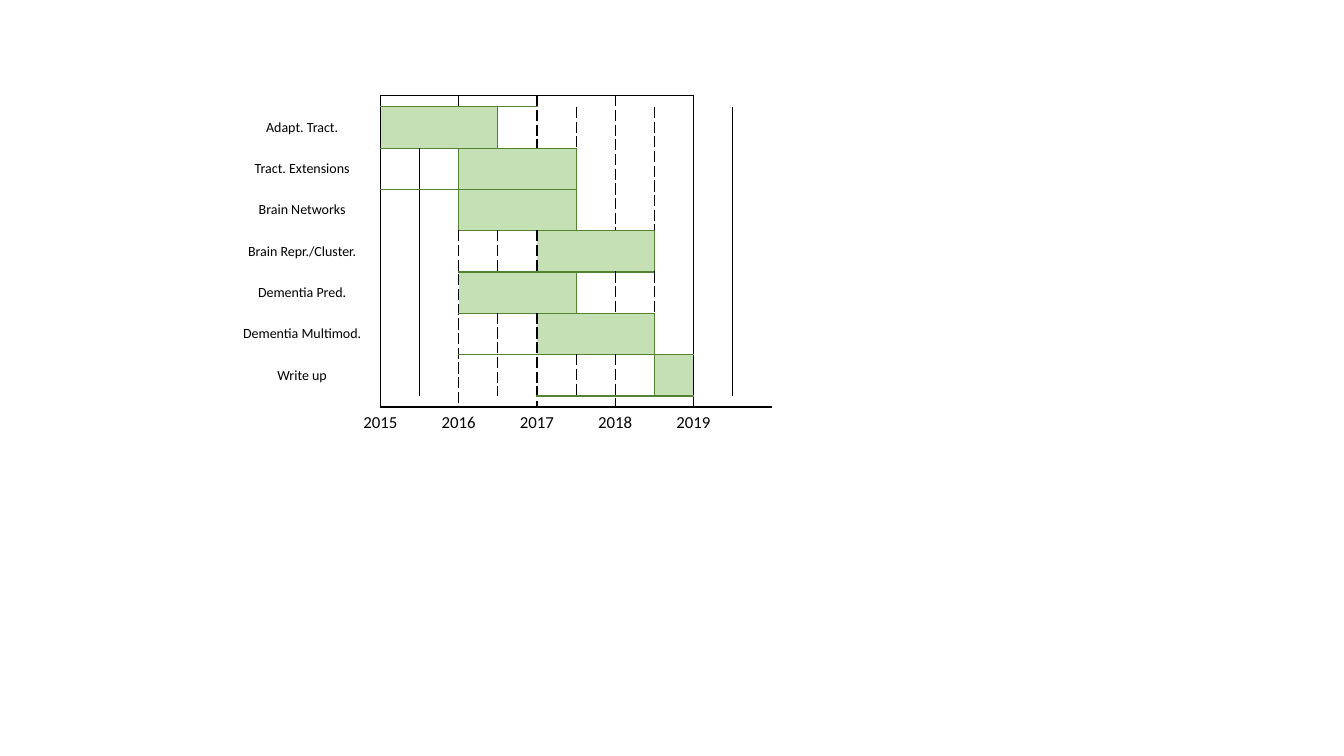
from collections import defaultdict

from lxml.etree import SubElement
from pptx import Presentation
from pptx.dml.color import RGBColor
from pptx.enum.text import MSO_ANCHOR, PP_ALIGN
from pptx.oxml import parse_xml
from pptx.oxml.ns import nsdecls, qn
from pptx.util import Inches, Pt

BLACK = RGBColor(0x00, 0x00, 0x00)
BAR_FILL = RGBColor(0xC5, 0xE0, 0xB4)
BAR_LINE = RGBColor(0x54, 0x82, 0x35)
FONT = "Calibri"
NO_STYLE = "{2D5ABB26-0587-4C30-8999-92F81FD0307C}"

COLS = 14
WIDTH = 5.44
ROW_HEIGHTS = [0.11] + [0.41] * 7 + [0.11, 0.3]
FIRST, LAST = 4, 12
BOTTOM_ROW, YEAR_ROW = 8, 9
YEARS = range(2015, 2020)

# Task, first column, column count, whether the left edge is green
TASKS = [
    ("Adapt. Tract.", 4, 3, False),
    ("Tract. Extensions", 6, 3, True),
    ("Brain Networks", 6, 3, True),
    ("Brain Repr./Cluster.", 8, 3, False),
    ("Dementia Pred.", 6, 3, False),
    ("Dementia Multimod.", 8, 3, False),
    ("Write up", 11, 1, True),
]


def add_grid(slide):
    shape = slide.shapes.add_table(
        len(ROW_HEIGHTS), COLS, Inches(2.22), Inches(0.95),
        Inches(WIDTH), Inches(sum(ROW_HEIGHTS)))
    tbl = shape.table
    tbl.first_row = tbl.horz_banding = False
    tbl._tbl.tblPr.find(qn("a:tableStyleId")).text = NO_STYLE
    for col in tbl.columns:
        col.width = Inches(WIDTH / COLS)
    for row, height in zip(tbl.rows, ROW_HEIGHTS):
        row.height = Inches(height)
    for cell in tbl.iter_cells():
        cell.margin_left = cell.margin_right = 0
        cell.margin_top = cell.margin_bottom = 0
        cell.fill.background()
        end = SubElement(cell.text_frame.paragraphs[0]._p, qn("a:endParaRPr"))
        end.set("sz", "100")
    return tbl


def merge_row(tbl, row, col, count):
    cell = tbl.cell(row, col)
    if count > 1:
        cell.merge(tbl.cell(row, col + count - 1))
    return cell


def set_text(cell, text, size):
    p = cell.text_frame.paragraphs[0]
    p.text = text
    p.alignment = PP_ALIGN.CENTER
    font = p.runs[0].font
    font.name, font.size = FONT, Pt(size)
    font.color.rgb = BLACK


def owner(tbl, row, col):
    while tbl.cell(row, col).is_spanned:
        col -= 1
    return row, col


def vertical(tbl, borders, row, col, line):
    left, right = owner(tbl, row, col - 1), owner(tbl, row, col)
    if left != right:
        borders[left]["R"] = borders[right]["L"] = line


def horizontal(tbl, borders, row, col, line):
    borders[owner(tbl, row, col)]["T"] = line
    if row:
        borders[owner(tbl, row - 1, col)]["B"] = line


def draw_borders(tbl, borders):
    for (row, col), sides in borders.items():
        tcPr = tbl.cell(row, col)._tc.get_or_add_tcPr()
        ordered = [side for side in "LRTB" if side in sides]
        for i, side in enumerate(ordered):
            color, dash = sides[side]
            tcPr.insert(i, parse_xml(
                f'<a:ln{side} {nsdecls("a")} w="{Pt(1)}">'
                f'<a:solidFill><a:srgbClr val="{color}"/></a:solidFill>'
                f'<a:prstDash val="{dash}"/></a:ln{side}>'))


def add_tasks(tbl):
    for row, (name, start, count, _) in enumerate(TASKS, 1):
        label = merge_row(tbl, row, 0, 4)
        label.vertical_anchor = MSO_ANCHOR.MIDDLE
        set_text(label, name, 10)
        bar = merge_row(tbl, row, start, count)
        bar.fill.solid()
        bar.fill.fore_color.rgb = BAR_FILL


def add_years(tbl):
    for row in (0, BOTTOM_ROW):
        for col in range(2, COLS, 2):
            merge_row(tbl, row, col, 2)
    for i, year in enumerate(YEARS):
        cell = merge_row(tbl, YEAR_ROW, 3 + 2 * i, 2)
        cell.margin_top = Inches(0.05)
        set_text(cell, str(year), 12)


def add_lines(tbl):
    borders = defaultdict(dict)
    green, solid = (BAR_LINE, "solid"), (BLACK, "solid")
    for row, (_, start, count, _) in enumerate(TASKS, 1):
        vertical(tbl, borders, row, start + count, green)
        for col in range(start, start + count):
            horizontal(tbl, borders, row, col, green)
            if row < len(TASKS):
                horizontal(tbl, borders, row + 1, col, green)
    for row in range(YEAR_ROW):
        for col in range(FIRST, LAST + 1, 2):
            dash = "solid" if col in (FIRST, LAST) else "sysDash"
            vertical(tbl, borders, row, col, (BLACK, dash))
    for row, (_, start, _, green_left) in enumerate(TASKS, 1):
        if green_left:
            vertical(tbl, borders, row, start, green)
    for col in range(FIRST, LAST):
        horizontal(tbl, borders, 0, col, solid)
    for col in range(FIRST + 1, LAST):
        horizontal(tbl, borders, YEAR_ROW, col, solid)
    draw_borders(tbl, borders)


def main():
    prs = Presentation()
    prs.slide_width, prs.slide_height = Inches(13.33), Inches(7.5)
    slide = prs.slides.add_slide(prs.slide_layouts[6])
    tbl = add_grid(slide)
    add_tasks(tbl)
    add_years(tbl)
    add_lines(tbl)
    prs.save("out.pptx")


main()
